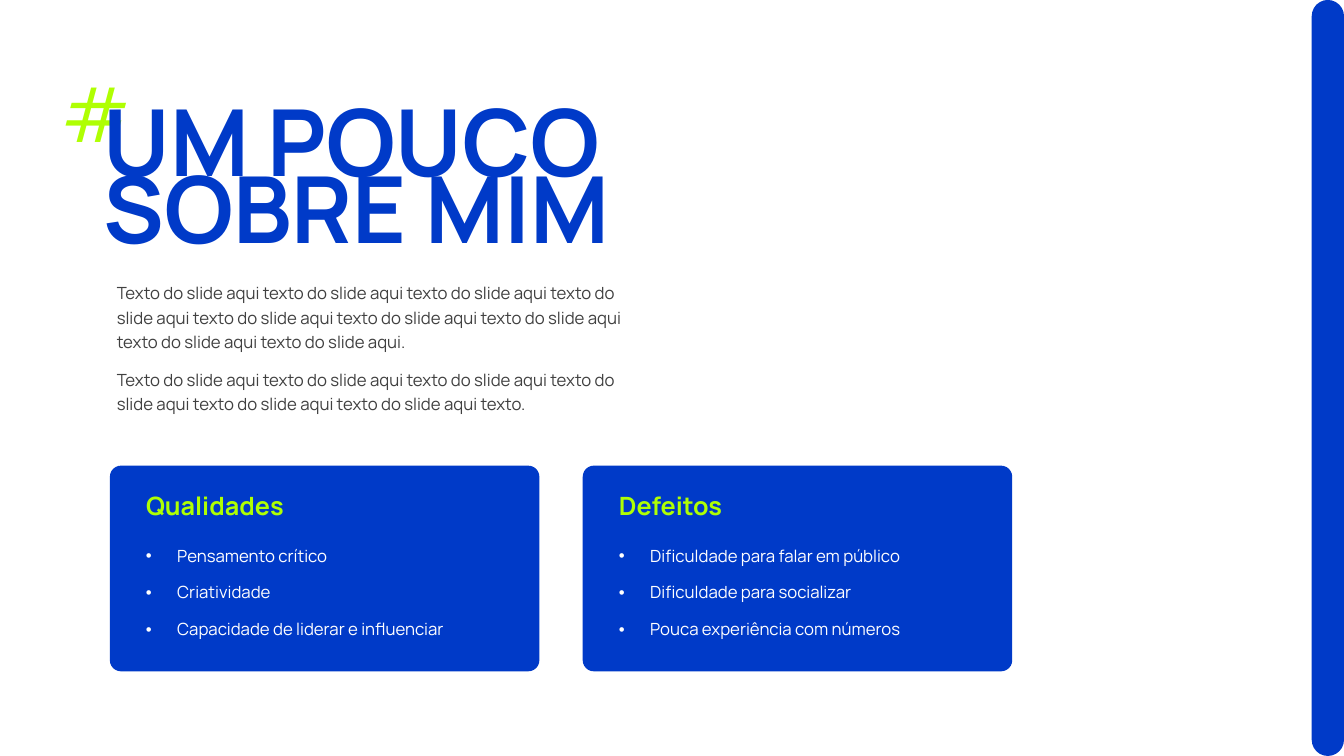
from dataclasses import dataclass

from lxml.etree import SubElement
from pptx import Presentation
from pptx.dml.color import RGBColor
from pptx.enum.shapes import MSO_SHAPE
from pptx.enum.text import MSO_ANCHOR
from pptx.oxml.ns import qn
from pptx.util import Inches, Pt


@dataclass(frozen=True)
class Theme:
    font: str = "Manrope"
    blue: str = "003AC8"
    lime: str = "AFFF03"
    white: str = "FFFFFF"
    grey: str = "404040"
    title: int = 66
    mark: int = 54
    heading: int = 18
    body: int = 12


THEME = Theme()


def add_text(shapes, box, lines, size, color, bold=False, spacing=None,
             before=0, anchor=MSO_ANCHOR.TOP, bullets=False):
    """Text box with one paragraph per line."""
    tf = shapes.add_textbox(*map(Inches, box)).text_frame
    tf.word_wrap = True
    tf.vertical_anchor = anchor
    for i, line in enumerate(lines):
        p = tf.paragraphs[0] if i == 0 else tf.add_paragraph()
        if bullets:
            add_bullet(p)
        if spacing:
            p.line_spacing = spacing
        if i and before:
            p.space_before = Pt(before)
        r = p.add_run()
        r.text = line
        r.font.name = THEME.font
        r.font.size = Pt(size)
        r.font.bold = bold
        r.font.color.rgb = RGBColor.from_string(color)


def add_bullet(p):
    pPr = p._p.get_or_add_pPr()
    indent = Inches(0.31)
    pPr.set("marL", str(indent))
    pPr.set("indent", str(-indent))
    SubElement(pPr, qn("a:buFont")).set("typeface", "Arial")
    SubElement(pPr, qn("a:buChar")).set("char", "•")


def add_panel(shapes, box, rounding):
    """Plain blue rounded rectangle."""
    s = shapes.add_shape(MSO_SHAPE.ROUNDED_RECTANGLE, *map(Inches, box))
    s.adjustments[0] = rounding
    s.shadow.inherit = False
    s.fill.solid()
    s.fill.fore_color.rgb = RGBColor.from_string(THEME.blue)
    s.line.fill.background()


def add_title(shapes, x, y, w, lines):
    """Hash mark with the tightly stacked title lines over it."""
    add_text(shapes, (x - 0.42, y - 0.44, 1.33, 1.01), ["#"], THEME.mark, THEME.lime)
    for i, line in enumerate(lines):
        add_text(shapes, (x, y + i * 0.66, w, 0.93), [line], THEME.title, THEME.blue,
                 bold=True, spacing=0.8, anchor=MSO_ANCHOR.BOTTOM)


def add_card(shapes, x, y, w, h, heading, items):
    """Panel with a heading and a bulleted list, grouped."""
    group = shapes.add_group_shape().shapes
    add_panel(group, (x, y, w, h), 0.054)
    left = x + 0.26
    add_text(group, (left, y + 0.23, 4.18, 0.4), [heading], THEME.heading, THEME.lime,
             bold=True, spacing=0.9)
    add_text(group, (left, y + 0.74, 4, 1.32), items, THEME.body, THEME.white,
             before=12, bullets=True)


def build_about_slide(prs):
    shapes = prs.slides.add_slide(prs.slide_layouts[6]).shapes

    # Introduction
    add_text(shapes, (1.06, 2.72, 5.52, 1.3), [
        "Texto do slide aqui texto do slide aqui texto do slide aqui texto do slide aqui "
        "texto do slide aqui texto do slide aqui texto do slide aqui texto do slide aqui "
        "texto do slide aqui.",
        "Texto do slide aqui texto do slide aqui texto do slide aqui texto do slide aqui "
        "texto do slide aqui texto do slide aqui texto.",
    ], THEME.body, THEME.grey, spacing=1.2, before=10)

    # Title
    add_title(shapes, 0.93, 1.05, 5.65, ["UM POUCO", "SOBRE MIM"])

    # Cards
    cards = [
        ("Qualidades", ["Pensamento crítico", "Criatividade",
                        "Capacidade de liderar e influenciar"]),
        ("Defeitos", ["Dificuldade para falar em público", "Dificuldade para socializar",
                      "Pouca experiência com números"]),
    ]
    width, gap = 4.26, 0.43
    for i, (heading, items) in enumerate(cards):
        add_card(shapes, 1.09 + i * (width + gap), 4.62, width, 2.04, heading, items)

    # Side bar
    add_panel(shapes, (13.01, 0, 0.32, 7.5), 0.5)


def main():
    prs = Presentation()
    prs.slide_width, prs.slide_height = Inches(13.33), Inches(7.5)
    build_about_slide(prs)
    prs.save("out.pptx")


if __name__ == "__main__":
    main()
